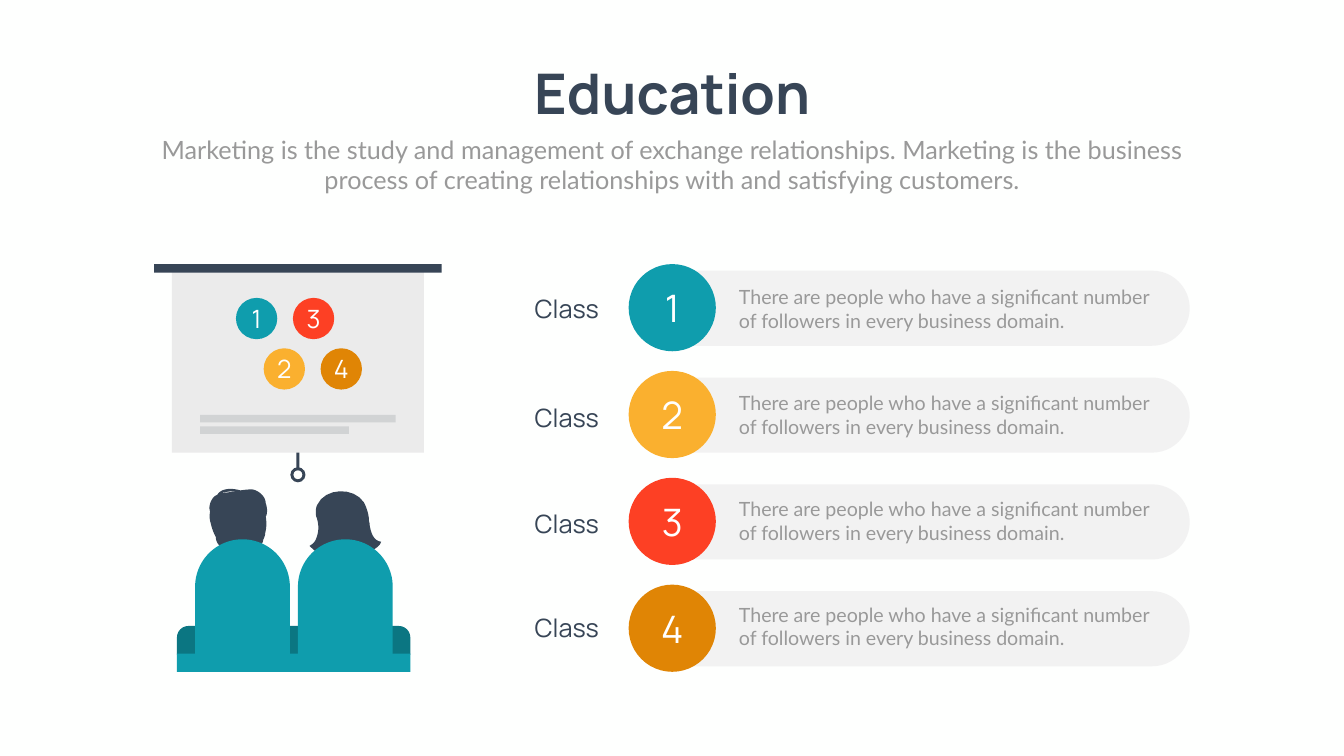
from dataclasses import dataclass

import pptx
import pptx.dml.color
import pptx.enum.shapes
import pptx.enum.text
import pptx.shapes.autoshape
import pptx.shapes.shapetree
import pptx.text.text
import pptx.util

RGBColor = pptx.dml.color.RGBColor
Kind = pptx.enum.shapes.MSO_SHAPE
Align = pptx.enum.text.PP_ALIGN
Anchor = pptx.enum.text.MSO_ANCHOR
Tree = pptx.shapes.shapetree.SlideShapes | pptx.shapes.shapetree.GroupShapes

EMU_PER_PX = 9144  # 100 px to the inch
CURVE_STEPS = 8

PAPER = RGBColor(0xFE, 0xFF, 0xFE)
WHITE = RGBColor(0xFF, 0xFF, 0xFF)
NAVY = RGBColor(0x37, 0x45, 0x56)
GREY = RGBColor(0x99, 0x99, 0x99)
PILL = RGBColor(0xF2, 0xF2, 0xF2)
SCREEN = RGBColor(0xEB, 0xEB, 0xEB)
SCREEN_LINE = RGBColor(0xD1, 0xD3, 0xD4)
TEAL = RGBColor(0x0F, 0x9D, 0xAD)
DARK_TEAL = RGBColor(0x0B, 0x76, 0x82)
YELLOW = RGBColor(0xFA, 0xB0, 0x2F)
RED = RGBColor(0xFD, 0x40, 0x24)
ORANGE = RGBColor(0xE0, 0x85, 0x05)

HEADING_FONT = "Manrope"
BODY_FONT = "Lato"

SUBTITLE = ("Marketing is the study and management of exchange relationships. "
            "Marketing is the business process of creating relationships with "
            "and satisfying customers.")
CLASS_TEXT = ("There are people who have a significant number of followers "
              "in every business domain.")

Point = tuple[float, float]


@dataclass(frozen=True)
class Frame:
    left: int
    top: int
    width: int
    height: int

    def emu(self) -> tuple[int, int, int, int]:
        return (px(self.left), px(self.top), px(self.width), px(self.height))


@dataclass(frozen=True)
class TextStyle:
    font: str
    size: int
    color: RGBColor
    align: Align
    bold: bool = False


@dataclass(frozen=True)
class ClassRow:
    number: str
    color: RGBColor
    label_top: int


ROWS = [
    ClassRow("1", TEAL, 577),
    ClassRow("2", YELLOW, 793),
    ClassRow("3", RED, 1004),
    ClassRow("4", ORANGE, 1209),
]

# Each outline is a start point followed by two control points and an end per curve.
MAN_HAIR: list[Point] = [
    (527, 1024), (528, 1019), (528, 1015), (527, 1010), (525, 997), (517, 981), (501, 981),
    (498, 981), (494, 982), (490, 982), (484, 982), (480, 978), (475, 977),
    (469, 975), (464, 975), (458, 977), (447, 978), (438, 985), (432, 994),
    (429, 995), (426, 997), (424, 1000), (423, 1000), (422, 1001), (421, 1002),
    (416, 1013), (414, 1026), (418, 1038), (420, 1047), (423, 1056), (428, 1065),
    (428, 1073), (432, 1080), (438, 1085), (444, 1089), (454, 1087), (461, 1086),
    (476, 1086), (490, 1080), (505, 1085), (511, 1086), (516, 1084), (519, 1079),
    (521, 1077), (522, 1074), (522, 1071), (524, 1067), (526, 1063), (526, 1058),
    (529, 1047), (529, 1035), (527, 1024),
]
MAN_FRINGE: list[Point] = [
    (527, 998), (527, 992), (524, 986), (519, 981), (514, 976), (507, 972), (500, 971),
    (492, 971), (484, 972), (477, 973), (462, 969), (451, 969), (441, 973),
    (437, 975), (433, 978), (431, 982), (427, 983), (424, 986), (421, 990),
    (413, 1002), (412, 1022), (429, 1026), (429, 1036), (431, 1046), (439, 1049),
    (446, 1052), (440, 1044), (439, 1043), (437, 1039), (436, 1035), (437, 1031),
    (440, 1022), (452, 1020), (459, 1017), (464, 1015), (467, 1014), (469, 1013),
    (474, 1010), (479, 1006), (483, 1001), (492, 1008), (502, 1012), (510, 1019),
    (515, 1024), (517, 1030), (518, 1037), (519, 1039), (522, 1038), (523, 1035),
    (523, 1032), (523, 1028), (523, 1025), (526, 1026), (527, 1025), (528, 1024),
    (531, 1015), (530, 1007), (527, 998),
]
FRINGE_GAP: list[Point] = [
    (465, 976), (458, 976), (452, 977), (446, 978), (444, 978), (442, 979), (440, 979),
    (442, 978), (443, 977), (445, 977), (453, 975), (461, 974), (470, 976),
    (468, 976), (466, 976), (465, 976),
]
WOMAN_HAIR: list[Point] = [
    (733, 1040), (733, 1038), (733, 1037), (732, 1035), (732, 1022), (728, 1009), (722, 997),
    (702, 966), (645, 967), (629, 1002), (626, 1009), (626, 1017), (627, 1024),
    (633, 1039), (633, 1055), (627, 1069), (625, 1075), (620, 1080), (614, 1083),
    (615, 1084), (617, 1086), (618, 1087), (641, 1112), (676, 1113), (707, 1105),
    (718, 1103), (728, 1098), (737, 1093), (744, 1089), (754, 1083), (756, 1075),
    (740, 1073), (735, 1055), (733, 1040),
]


def px(length: float) -> int:
    return round(length * EMU_PER_PX)


def write(para: pptx.text.text._Paragraph, text: str, style: TextStyle) -> None:
    para.alignment = style.align
    span = para.add_run()
    span.text = text
    span.font.name = style.font
    span.font.size = pptx.util.Pt(style.size)
    span.font.bold = style.bold
    span.font.color.rgb = style.color


def paint(shape: pptx.shapes.autoshape.Shape, color: RGBColor) -> None:
    shape.shadow.inherit = False
    shape.fill.solid()
    shape.fill.fore_color.rgb = color
    shape.line.fill.background()


def add_block(tree: Tree, kind: Kind, frame: Frame, color: RGBColor,
              *adjustments: float) -> pptx.shapes.autoshape.Shape:
    block = tree.add_shape(kind, *frame.emu())
    for index, value in enumerate(adjustments):
        block.adjustments[index] = value
    paint(block, color)
    return block


def add_disc(tree: Tree, frame: Frame, row: ClassRow, size: int) -> None:
    disc = add_block(tree, Kind.OVAL, frame, row.color)
    disc.text_frame.vertical_anchor = Anchor.MIDDLE
    disc.text_frame.word_wrap = False
    write(disc.text_frame.paragraphs[0], row.number,
          TextStyle(HEADING_FONT, size, WHITE, Align.CENTER))


def add_text(tree: Tree, frame: Frame, text: str, style: TextStyle) -> None:
    box = tree.add_textbox(*frame.emu())
    box.text_frame.word_wrap = True
    write(box.text_frame.paragraphs[0], text, style)


def flatten(outline: list[Point]) -> list[tuple[int, int]]:
    """Turn a chain of cubic curves into short straight steps, in EMU."""
    points = [outline[0]]
    for index in range(0, len(outline) - 1, 3):
        curve = outline[index:index + 4]
        for step in range(1, CURVE_STEPS + 1):
            t = step / CURVE_STEPS
            weights = ((1 - t) ** 3, 3 * t * (1 - t) ** 2, 3 * t * t * (1 - t), t ** 3)
            points.append((sum(w * p[0] for w, p in zip(weights, curve)),
                           sum(w * p[1] for w, p in zip(weights, curve))))
    return [(px(x), px(y)) for x, y in points]


def add_hair(tree: Tree, *outlines: list[Point]) -> None:
    first, *holes = [flatten(outline) for outline in outlines]
    builder = tree.build_freeform(*first[0])
    builder.add_line_segments(first[1:], close=True)
    for hole in holes:
        builder.move_to(*hole[0])
        builder.add_line_segments(hole[1:], close=True)
    paint(builder.convert_to_shape(), NAVY)


def add_classroom(tree: Tree) -> None:
    add_block(tree, Kind.ROUNDED_RECTANGLE, Frame(588, 895, 6, 38), NAVY, 0.5)
    add_block(tree, Kind.DONUT, Frame(576, 927, 30, 30), NAVY, 0.2)
    add_block(tree, Kind.RECTANGLE, Frame(341, 530, 500, 368), SCREEN)
    add_block(tree, Kind.RECTANGLE, Frame(306, 524, 570, 17), NAVY)
    add_hair(tree, MAN_HAIR)
    add_hair(tree, MAN_FRINGE, FRINGE_GAP)
    add_block(tree, Kind.ROUND_2_SAME_RECTANGLE, Frame(351, 1242, 463, 57), DARK_TEAL, 0.4, 0)
    add_hair(tree, WOMAN_HAIR)
    for left in (387, 591):
        add_block(tree, Kind.ROUND_2_SAME_RECTANGLE, Frame(left, 1070, 188, 229), TEAL, 0.5, 0)
    add_block(tree, Kind.RECTANGLE, Frame(351, 1297, 463, 36), TEAL)
    for top, width in ((846, 295), (823, 388)):
        add_block(tree, Kind.RECTANGLE, Frame(397, top, width, 15), SCREEN_LINE)
    for index, row in enumerate(ROWS):
        column, lower = divmod(index, 2)
        frame = Frame(468 + 113 * column + 55 * lower, 591 + 100 * lower, 82, 82)
        add_disc(tree, frame, row, 36)


def add_row(tree: Tree, index: int, row: ClassRow) -> None:
    shift = 212 * index
    add_block(tree, Kind.ROUNDED_RECTANGLE, Frame(1260, 537 + shift, 1100, 149), PILL, 0.5)
    add_disc(tree, Frame(1247, 524 + shift, 173, 173), row, 54)
    add_text(tree, Frame(1456, 561 + 210 * index, 867, 104), CLASS_TEXT,
             TextStyle(BODY_FONT, 28, GREY, Align.LEFT))
    add_text(tree, Frame(814, row.label_top, 384, 71), "Class",
             TextStyle(HEADING_FONT, 36, NAVY, Align.RIGHT))


def main() -> None:
    deck = pptx.Presentation()
    deck.slide_width, deck.slide_height = px(2666), px(1500)
    page = deck.slides.add_slide(deck.slide_layouts[5])
    page.background.fill.solid()
    page.background.fill.fore_color.rgb = PAPER

    title = page.shapes.title
    title.left, title.top, title.width, title.height = Frame(1032, 112, 603, 145).emu()
    title.text_frame.auto_size = pptx.enum.text.MSO_AUTO_SIZE.NONE
    title.text_frame.word_wrap = False
    title.text_frame.vertical_anchor = Anchor.TOP
    write(title.text_frame.paragraphs[0], "Education",
          TextStyle(HEADING_FONT, 80, NAVY, Align.CENTER, bold=True))
    add_text(page.shapes, Frame(292, 261, 2082, 131), SUBTITLE,
             TextStyle(BODY_FONT, 36, GREY, Align.CENTER))

    for index, row in enumerate(ROWS):
        add_row(page.shapes, index, row)
    add_classroom(page.shapes.add_group_shape().shapes)
    deck.save("out.pptx")


if __name__ == "__main__":
    main()
